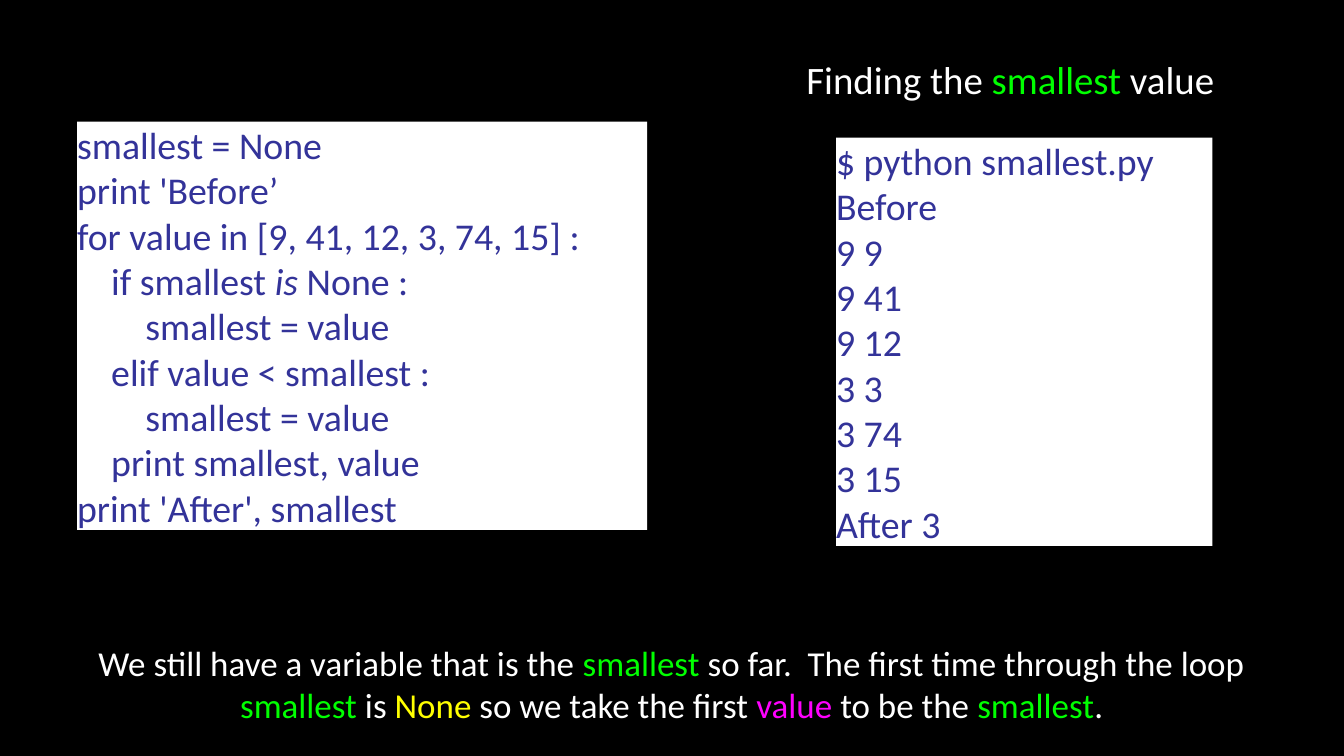
from pptx import Presentation
from pptx.dml.color import RGBColor
from pptx.enum.shapes import MSO_SHAPE
from pptx.enum.text import MSO_ANCHOR, MSO_AUTO_SIZE, PP_ALIGN
from pptx.util import Inches, Pt

RECTANGLE = MSO_SHAPE.RECTANGLE
MIDDLE = MSO_ANCHOR.MIDDLE
NO_FIT = MSO_AUTO_SIZE.NONE
LEFT, CENTER = PP_ALIGN.LEFT, PP_ALIGN.CENTER

WIDTH, HEIGHT = 17.78, 10
FONT = "Calibri"
BLACK, WHITE, INK = "000000", "FFFFFF", "333399"
GREEN, YELLOW, MAGENTA = "00FF00", "FFFF00", "FF00FF"
LINE_HEIGHT = 0.6  # inches per line of code

# Each line is a list of (text, colour) pairs; code lines are plain strings,
# with the word between asterisks set in italics.
TITLE = [("Finding the ", WHITE), ("smallest", GREEN), (" value", WHITE)]
CODE = [
    "smallest = None",
    "print 'Before’",
    "for value in [9, 41, 12, 3, 74, 15] :",
    "    if smallest *is* None :",
    "        smallest = value",
    "    elif value < smallest :",
    "        smallest = value",
    "    print smallest, value",
    "print 'After', smallest",
]
OUTPUT = [
    "$ python smallest.py",
    "Before",
    "9 9",
    "9 41",
    "9 12",
    "3 3",
    "3 74",
    "3 15",
    "After 3",
]
SUMMARY = [
    ("We still have a variable that is the ", WHITE),
    ("smallest", GREEN),
    (" so far.  The first time through the loop ", WHITE),
    ("smallest", GREEN),
    (" is ", WHITE),
    ("None", YELLOW),
    (" so we take the first ", WHITE),
    ("value", MAGENTA),
    (" to be the ", WHITE),
    ("smallest", GREEN),
    (".", WHITE),
]
PANELS = [(1.02, 1.61, 7.54, CODE), (11.06, 1.82, 4.98, OUTPUT)]


def paint(fill, color):
    fill.solid()
    fill.fore_color.rgb = RGBColor.from_string(color)


def add_span(para, text, size, color, italic=False):
    span = para.add_run()
    span.text = text
    span.font.name = FONT
    span.font.size = Pt(size)
    span.font.italic = italic
    span.font.color.rgb = RGBColor.from_string(color)


def prepare_frame(box, margin=0):
    frame = box.text_frame
    frame.word_wrap = True
    frame.auto_size = NO_FIT
    frame.vertical_anchor = MIDDLE
    frame.margin_left = frame.margin_right = Inches(margin)
    frame.margin_top = frame.margin_bottom = Inches(margin)
    return frame


def write_sentence(box, spans, size, margin=0):
    para = prepare_frame(box, margin).paragraphs[0]
    para.alignment = CENTER
    para.line_spacing = 1.0
    for text, color in spans:
        add_span(para, text, size, color)


def add_panel(page, left, top, width, lines):
    height = LINE_HEIGHT * len(lines)
    panel = page.shapes.add_shape(
        RECTANGLE, Inches(left), Inches(top), Inches(width), Inches(height))
    panel.shadow.inherit = False
    paint(panel.fill, WHITE)
    panel.line.fill.background()
    frame = prepare_frame(panel)
    for row, line in enumerate(lines):
        para = frame.add_paragraph() if row else frame.paragraphs[0]
        para.alignment = LEFT
        for part, text in enumerate(line.split("*")):
            add_span(para, text, 36, INK, italic=part % 2 == 1)


def main():
    deck = Presentation()
    deck.slide_width, deck.slide_height = Inches(WIDTH), Inches(HEIGHT)
    page = deck.slides.add_slide(deck.slide_layouts[5])
    paint(page.background.fill, BLACK)

    title = page.shapes.title
    title.left, title.top = Inches(10.26), Inches(0.49)
    title.width, title.height = Inches(6.21), Inches(1.1)
    write_sentence(title, TITLE, 37, margin=0.04)

    for left, top, width, lines in PANELS:
        add_panel(page, left, top, width, lines)

    summary = page.shapes.add_textbox(
        Inches(0.76), Inches(8.42), Inches(16.25), Inches(1.25))
    write_sentence(summary, SUMMARY, 33.3)

    deck.save("out.pptx")


if __name__ == "__main__":
    main()
